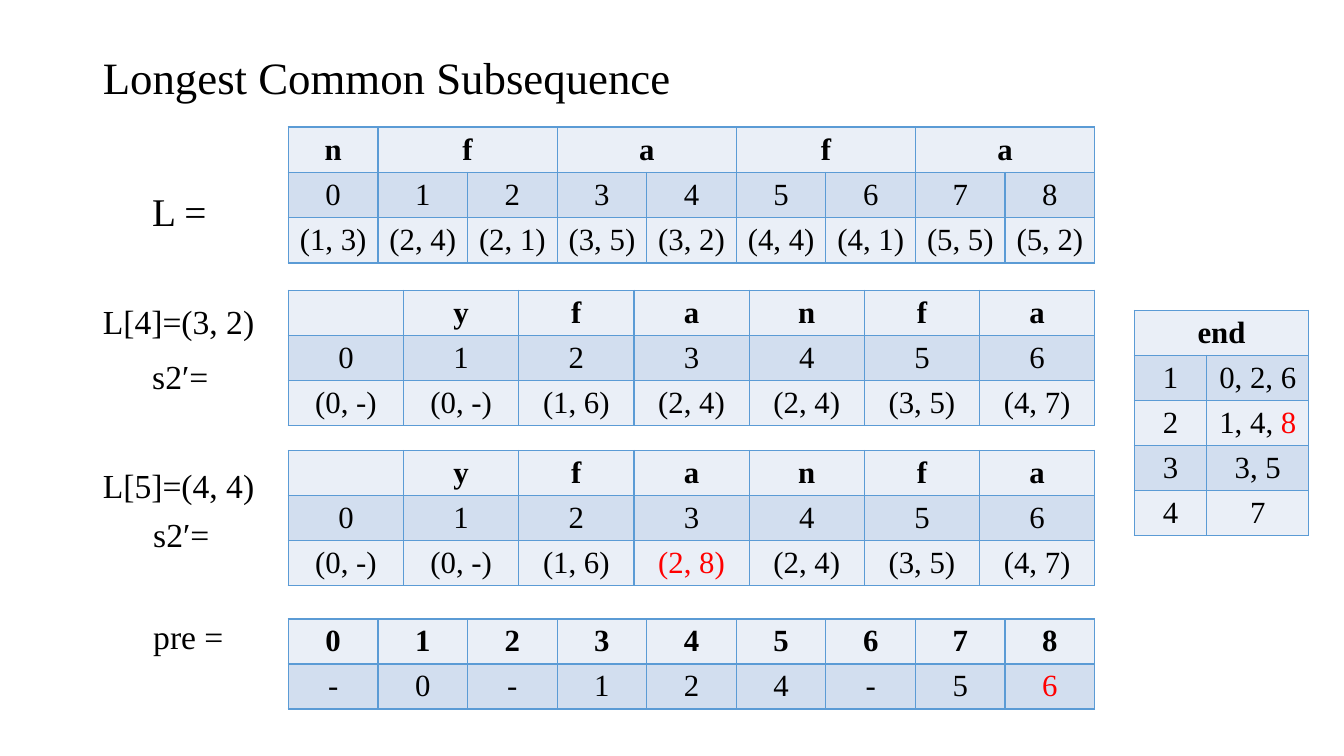
from lxml import etree
from pptx import Presentation
from pptx.dml.color import RGBColor
from pptx.enum.text import MSO_ANCHOR, PP_ALIGN
from pptx.oxml import parse_xml
from pptx.oxml.ns import nsdecls
from pptx.util import Inches, Pt

BLACK = RGBColor(0x00, 0x00, 0x00)
RED = RGBColor(0xFF, 0x00, 0x00)
BORDER = RGBColor(0x5B, 0x9B, 0xD5)
BANDS = [RGBColor(0xEA, 0xEF, 0xF7), RGBColor(0xD2, 0xDE, 0xEF)]
FONT = "Times New Roman"

presentation = Presentation()
presentation.slide_width = Inches(13.33)
presentation.slide_height = Inches(7.5)
slide = presentation.slides.add_slide(presentation.slide_layouts[6])


def add_label(text, left, center, width, size):
    """Add one line of text, centred vertically on the height given by center."""
    height = 0.6
    box = slide.shapes.add_textbox(
        Inches(left), Inches(center - height / 2), Inches(width), Inches(height))
    frame = box.text_frame
    frame.word_wrap = True
    frame.vertical_anchor = MSO_ANCHOR.MIDDLE
    frame.margin_left = frame.margin_right = 0
    paragraph = frame.paragraphs[0]
    paragraph.text = text
    paragraph.font.name = FONT
    paragraph.font.size = Pt(size)
    paragraph.font.color.rgb = BLACK


def add_banded_table(left, top, widths, row_height, rows):
    """Add a table; None joins a cell to its left one, text after * is red."""
    table = slide.shapes.add_table(
        len(rows), len(widths), Inches(left), Inches(top),
        Inches(sum(widths)), Inches(row_height * len(rows))).table
    table.first_row = table.horz_banding = False
    for column, width in zip(table.columns, widths):
        column.width = Inches(width)
    for r, values in enumerate(rows):
        table.rows[r].height = Inches(row_height)
        for c, value in enumerate(values):
            cell = table.cell(r, c)
            properties = cell._tc.get_or_add_tcPr()
            for side in ("lnL", "lnR", "lnT", "lnB"):
                properties.append(parse_xml(
                    f'<a:{side} {nsdecls("a")} w="{Pt(1)}"><a:solidFill>'
                    f'<a:srgbClr val="{BORDER}"/></a:solidFill></a:{side}>'))
            cell.fill.solid()
            cell.fill.fore_color.rgb = BANDS[r % 2]
            cell.margin_left = cell.margin_right = Inches(0.05)
            cell.margin_top = cell.margin_bottom = Inches(0.04)
            cell.vertical_anchor = MSO_ANCHOR.MIDDLE
            if value is None:
                table.cell(r, c - 1).merge(cell)
                continue
            paragraph = cell.text_frame.paragraphs[0]
            paragraph.alignment = PP_ALIGN.CENTER
            paragraph.font.name = FONT
            paragraph.font.size = Pt(22)
            paragraph.font.bold = r == 0
            paragraph.font.color.rgb = BLACK
            plain, _, marked = value.partition("*")
            for text, color in ((plain, BLACK), (marked, RED)):
                if text:
                    run = paragraph.add_run()
                    run.text = text
                    run.font.color.rgb = color


add_label("Longest Common Subsequence", 1.02, 0.76, 11.3, 32)
for text, left, center, size in [
    ("L =", 1.51, 2.09, 28),
    ("L[4]=(3, 2)", 1.02, 3.19, 24),
    ("s2′=", 1.51, 3.73, 24),
    ("L[5]=(4, 4)", 1.02, 4.81, 24),
    ("s2′=", 1.52, 5.3, 24),
    ("pre =", 1.52, 6.31, 24),
]:
    add_label(text, left, center, 1.8, size)

TABLE_LEFT, TABLE_WIDTH = 2.86, 8
nine_columns = [TABLE_WIDTH / 9] * 9
seven_columns = [TABLE_WIDTH / 7] * 7

add_banded_table(TABLE_LEFT, 1.26, nine_columns, 0.45, [
    ["n", "f", None, "a", None, "f", None, "a", None],
    [str(i) for i in range(9)],
    ["(1, 3)", "(2, 4)", "(2, 1)", "(3, 5)", "(3, 2)",
     "(4, 4)", "(4, 1)", "(5, 5)", "(5, 2)"],
])

for top, third_state in ((2.88, "(2, 4)"), (4.47, "*(2, 8)")):
    add_banded_table(TABLE_LEFT, top, seven_columns, 0.44, [
        ["", "y", "f", "a", "n", "f", "a"],
        [str(i) for i in range(7)],
        ["(0, -)", "(0, -)", "(1, 6)", third_state, "(2, 4)", "(3, 5)", "(4, 7)"],
    ])

add_banded_table(TABLE_LEFT, 6.14, nine_columns, 0.44, [
    [str(i) for i in range(9)],
    ["-", "0", "-", "1", "2", "4", "-", "5", "*6"],
])

add_banded_table(11.25, 3.08, [0.72, 1.01], 0.44, [
    ["end", None],
    ["1", "0, 2, 6"],
    ["2", "1, 4, *8"],
    ["3", "3, 5"],
    ["4", "7"],
])

presentation.save("out.pptx")
